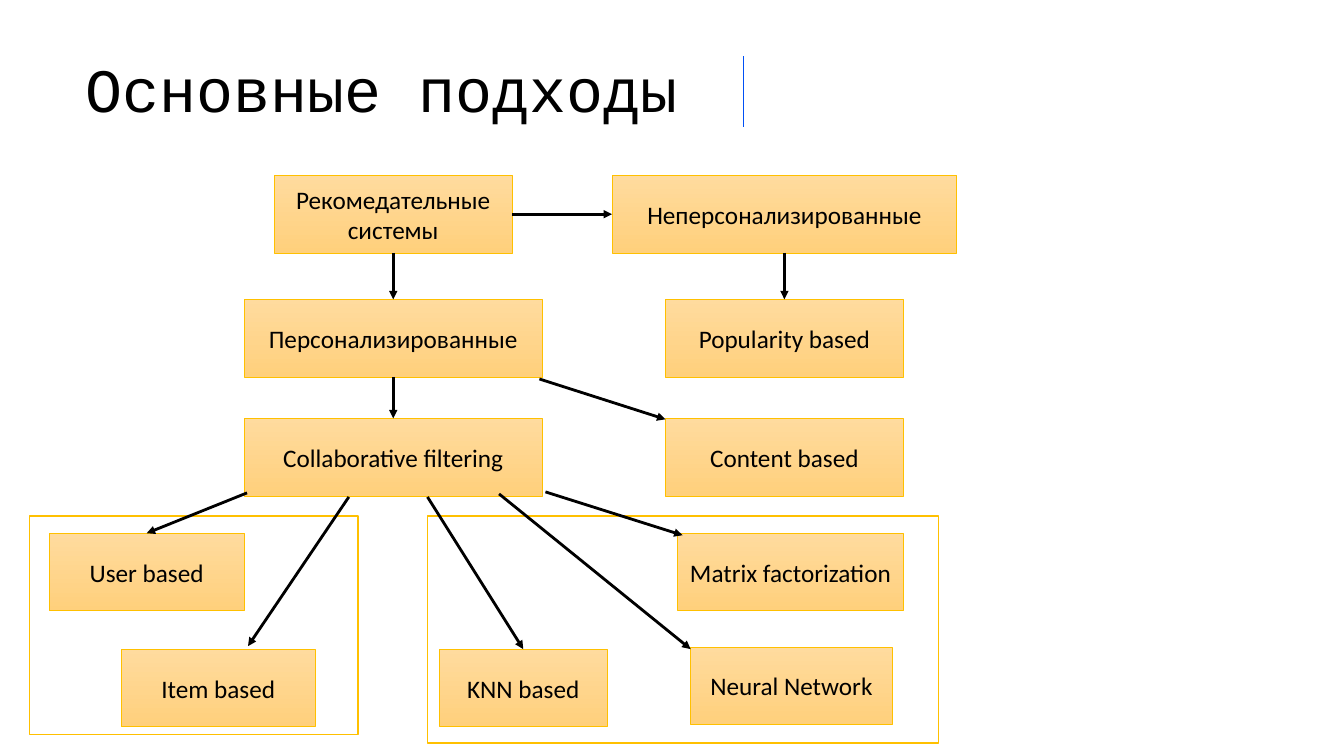
from pptx import Presentation
from pptx.dml.color import RGBColor
from pptx.enum.shapes import MSO_CONNECTOR as Connector, MSO_SHAPE as Shape
from pptx.enum.text import MSO_ANCHOR as Anchor, MSO_AUTO_SIZE as AutoSize, PP_ALIGN as Align
from pptx.oxml.ns import qn
from pptx.util import Inches, Pt
from lxml import etree

COLORS = {
    "text": "000000", "panel": "FFFFFF", "border": "FFC000",
    "box_top": "FFDB9E", "box_bottom": "FFD07C", "divider": "0050F5",
}
TOP, LEFT, BOTTOM, RIGHT = range(4)
BOX_HEIGHT = 0.77

# Left, top and width of each box, by its label
BOXES = {
    "Неперсонализированные": (6.07, 1.74, 3.42),
    "Рекомедательные системы": (2.72, 1.74, 2.36),
    "Popularity based": (6.6, 2.97, 2.36),
    "Content based": (6.6, 4.15, 2.36),
    "Персонализированные": (2.42, 2.97, 2.96),
    "Collaborative filtering": (2.42, 4.15, 2.96),
    "User based": (0.49, 5.29, 1.93),
    "Item based": (1.2, 6.44, 1.93),
    "Matrix factorization": (6.72, 5.29, 2.24),
    "KNN based": (4.36, 6.44, 1.66),
    "Neural Network": (6.85, 6.42, 2),
}
# Each arrow end is a (label, side) pair or a free point
ARROWS = [
    (("Рекомедательные системы", BOTTOM), ("Персонализированные", TOP)),
    (("Рекомедательные системы", RIGHT), ("Неперсонализированные", LEFT)),
    (("Неперсонализированные", BOTTOM), ("Popularity based", TOP)),
    (("Персонализированные", BOTTOM), ("Collaborative filtering", TOP)),
    ((5.35, 3.76), (6.6, 4.16)),
    ((2.45, 4.89), ("User based", TOP)),
    ((3.46, 4.93), (2.46, 6.41)),
    ((4.24, 4.93), ("KNN based", TOP)),
    ((5.41, 4.88), (6.77, 5.31)),
    ((4.95, 4.9), (6.85, 6.44)),
]
PANELS = [(4.24, 5.12, 5.07, 2.25), (0.29, 5.12, 3.26, 2.17)]


def color(name):
    return RGBColor.from_string(COLORS[name])


def add_rectangle(page, area, line_width):
    box = page.shapes.add_shape(Shape.RECTANGLE, *map(Inches, area))
    box.shadow.inherit = False
    box.line.color.rgb = color("border")
    box.line.width = Pt(line_width)
    return box


def add_panel(page, area):
    panel = add_rectangle(page, area, 1)
    panel.fill.solid()
    panel.fill.fore_color.rgb = color("panel")


def add_line(page, start, end, name, width):
    line = page.shapes.add_connector(Connector.STRAIGHT, *map(Inches, start + end))
    line.line.color.rgb = color(name)
    line.line.width = Pt(width)
    etree.SubElement(line._element.spPr, qn("a:effectLst"))
    return line


def format_text(frame, font, size, align):
    frame.word_wrap = True
    frame.auto_size = AutoSize.NONE
    frame.vertical_anchor = Anchor.MIDDLE
    para = frame.paragraphs[0]
    para.alignment = align
    span = para.runs[0].font
    span.name, span.size = font, Pt(size)
    span.color.rgb = color("text")


def add_title(page, area, text):
    title = page.shapes.title
    title.left, title.top, title.width, title.height = map(Inches, area)
    title.text_frame.text = text
    format_text(title.text_frame, "Courier New", 44, Align.LEFT)
    title.text_frame.paragraphs[0].line_spacing = 0.9


def add_box(page, area, label):
    box = add_rectangle(page, area, 0.5)
    box.fill.gradient()
    box.fill.gradient_angle = 270
    for stop, name, position in zip(box.fill.gradient_stops, ("box_top", "box_bottom"), (0, 1)):
        stop.color.rgb = color(name)
        stop.position = position
    box.text_frame.text = label
    format_text(box.text_frame, "Calibri", 18, Align.CENTER)
    return box


def add_arrow(page, boxes, start, end):
    points = [(0, 0) if point[0] in boxes else point for point in (start, end)]
    arrow = add_line(page, *points, "text", 2)
    if start[0] in boxes:
        arrow.begin_connect(boxes[start[0]], start[1])
    if end[0] in boxes:
        arrow.end_connect(boxes[end[0]], end[1])
    etree.SubElement(arrow.line._get_or_add_ln(), qn("a:tailEnd"), type="triangle")


def add_diagram(page):
    for area in PANELS:
        add_panel(page, area)
    boxes = {label: add_box(page, area + (BOX_HEIGHT,), label) for label, area in BOXES.items()}
    for start, end in ARROWS:
        add_arrow(page, boxes, start, end)


def main():
    deck = Presentation()
    deck.slide_width, deck.slide_height = Inches(13.33), Inches(7.5)
    page = deck.slides.add_slide(deck.slide_layouts[5])

    # Heading with its divider
    add_title(page, (0.75, 0.42, 6.39, 0.99), "Основные подходы")
    add_line(page, (7.37, 0.56), (7.37, 1.26), "divider", 0.5)

    # Tree of approaches
    add_diagram(page)
    deck.save("out.pptx")


if __name__ == "__main__":
    main()
